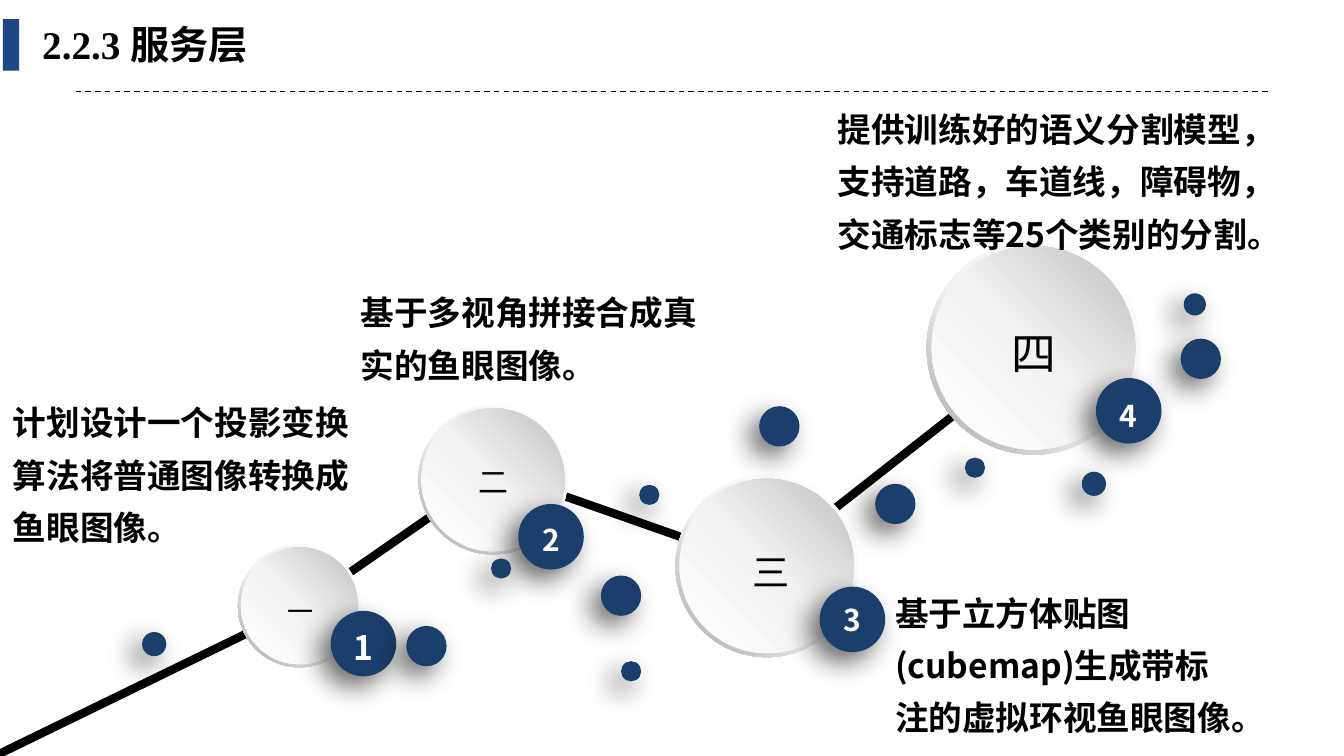
import dataclasses

import lxml.etree
import pptx
import pptx.dml.color
import pptx.enum.dml
import pptx.enum.shapes
import pptx.enum.text
import pptx.oxml.ns
import pptx.util

PX = 9144  # 100 px to the inch
KIND = pptx.enum.shapes.MSO_SHAPE
ALIGN = pptx.enum.text.PP_ALIGN


@dataclasses.dataclass(frozen=True)
class Theme:
    ink: str = "000000"
    paper: str = "FFFFFF"
    navy: str = "1A3F6C"
    bar: str = "1C4885"
    rim: tuple = ((0, "FFFFFF"), (55, "F2F2F2"), (100, "A6A6A6"))
    face: tuple = ((0, "FFFFFF"), (51, "F2F2F2"), (100, "BFBFBF"))
    sans: str = "Noto Sans CJK SC"
    latin: str = "Arial"
    serif: str = "Times New Roman"
    title: int = 28
    body: int = 24
    badge: float = 21.4


def rgb(code):
    return pptx.dml.color.RGBColor.from_string(code)


def add(node, tag, **attrs):
    """Append a DrawingML child to an XML node."""
    child = lxml.etree.SubElement(node, pptx.oxml.ns.qn("a:" + tag))
    for name, value in attrs.items():
        child.set(name, str(value))
    return child


class Deck:
    def __init__(self, theme):
        self.theme = theme
        self.file = pptx.Presentation()
        self.file.slide_width = 1333 * PX
        self.file.slide_height = 750 * PX
        self.shapes = self.file.slides.add_slide(self.file.slide_layouts[6]).shapes

    def line(self, start, end, width, dash=False):
        ends = [v * PX for v in (*start, *end)]
        line = self.shapes.add_connector(pptx.enum.shapes.MSO_CONNECTOR.STRAIGHT, *ends)
        line.line.color.rgb = rgb(self.theme.ink)
        line.line.width = pptx.util.Pt(width)
        if dash:
            line.line.dash_style = pptx.enum.dml.MSO_LINE.DASH
        add(line._element.spPr, "effectLst")

    def shape(self, kind, box, color=None):
        shape = self.shapes.add_shape(kind, *[v * PX for v in box])
        shape.shadow.inherit = False
        shape.line.fill.background()
        if color:
            shape.fill.solid()
            shape.fill.fore_color.rgb = rgb(color)
        return shape

    def blend(self, shape, stops, angle):
        """Fill with a linear gradient; the angle runs counter-clockwise."""
        shape.fill.gradient()
        shape.fill.gradient_angle = angle
        ramp = shape._element.spPr.find(".//" + pptx.oxml.ns.qn("a:gsLst"))
        for old in list(ramp):
            ramp.remove(old)
        for place, color in stops:
            add(add(ramp, "gs", pos=place * 1000), "srgbClr", val=color)

    def disc(self, left, top, size):
        """Draw a pale disc with a thin rim."""
        rim = self.shape(KIND.DONUT, (left, top, size, size))
        rim.adjustments[0] = 0.049
        self.blend(rim, self.theme.rim, 225)
        gap = round(size * 0.022)
        core = size - 2 * gap
        face = self.shape(KIND.OVAL, (left + gap, top + gap, core, core))
        self.blend(face, self.theme.face, 45)

    def dot(self, left, top, size):
        """Draw a navy ball with a soft shadow to the lower left."""
        ball = self.shape(KIND.OVAL, (left, top, size, size), self.theme.navy)
        effects = ball._element.spPr.find(pptx.oxml.ns.qn("a:effectLst"))
        blur, dist = pptx.util.Pt(20), pptx.util.Pt(10)
        shade = add(effects, "outerShdw", blurRad=blur, dist=dist, dir=135 * 60000,
                    algn="tr", rotWithShape=0)
        add(add(shade, "srgbClr", val=self.theme.ink), "alpha", val=60000)

    def text(self, words, box, size, font=None, color=None, bold=True,
             align=ALIGN.LEFT, space=None, wrap=True, inset=True):
        frame = self.shapes.add_textbox(*[v * PX for v in box]).text_frame
        frame.word_wrap = wrap
        if not inset:
            frame.margin_left = frame.margin_right = 0
            frame.margin_top = frame.margin_bottom = 0
        frame.text = words
        para = frame.paragraphs[0]
        para.alignment = align
        if space:
            para.line_spacing = space
        run = para.runs[0]
        run.font.size = pptx.util.Pt(size)
        run.font.bold = bold
        run.font.color.rgb = rgb(color or self.theme.ink)
        run.font.name = font or self.theme.sans
        add(run._r.get_or_add_rPr(), "ea", typeface=self.theme.sans)


def main():
    theme = Theme()
    deck = Deck(theme)

    deck.line((75, 91), (1258, 91), 1, dash=True)
    route = [(-5, 750), (295, 604), (491, 468), (756, 561), (1021, 353)]
    for start, end in zip(route, route[1:]):
        deck.line(start, end, 6)

    steps = [
        ("一", (236, 540, 122), (244, 586, 108, 41), 18.6),
        ("二", (415, 402, 148), (464, 455, 50, 46), 21.4),
        ("三", (670, 471, 181), (736, 540, 57, 55), 26.6),
        ("四", (919, 239, 212), (993, 318, 64, 64), 32),
    ]
    for label, disc, box, size in steps:
        deck.disc(*disc)
        deck.text(label, box, size, bold=False, align=ALIGN.CENTER, wrap=False)

    notes = [
        ("基于多视角拼接合成真实的鱼眼图像。", (348, 273, 357, 147), theme.latin),
        ("计划设计一个投影变换算法将普通图像转换成鱼眼图像。", (3, 382, 355, 168), theme.latin),
        ("基于立方体贴图(cubemap)生成带标注的虚拟环视鱼眼图像。", (878, 571, 357, 199), theme.sans),
        ("提供训练好的语义分割模型，支持道路，车道线，障碍物，交通标志等25个类别的分割。",
         (821, 91, 442, 167), theme.sans),
    ]
    for words, box, font in notes:
        deck.text(words, box, theme.body, font, space=1.3)

    badges = [
        ("1", 328, 606, 622, theme.body),
        ("3", 813, 582, 597, theme.badge),
        ("2", 514, 500, 517, theme.badge),
        ("4", 1087, 375, 394, theme.badge),
    ]
    for digit, left, top, base, size in badges:
        deck.dot(left, top, 65)
        deck.text(digit, (left, base, 65, 36), size, color=theme.paper,
                  align=ALIGN.CENTER, inset=False)

    dots = [
        (634, 481, 20), (596, 571, 40), (616, 656, 20), (403, 621, 40),
        (487, 554, 20), (868, 480, 40), (1073, 468, 24), (957, 454, 20),
        (753, 403, 40), (1171, 336, 40), (1174, 291, 22), (141, 627, 24),
    ]
    for dot in dots:
        deck.dot(*dot)

    deck.text("2.2.3 服务层", (32, 15, 278, 57), theme.title, theme.serif)
    deck.shape(KIND.RECTANGLE, (3, 19, 16, 51), theme.bar)
    deck.file.save("out.pptx")


if __name__ == "__main__":
    main()
